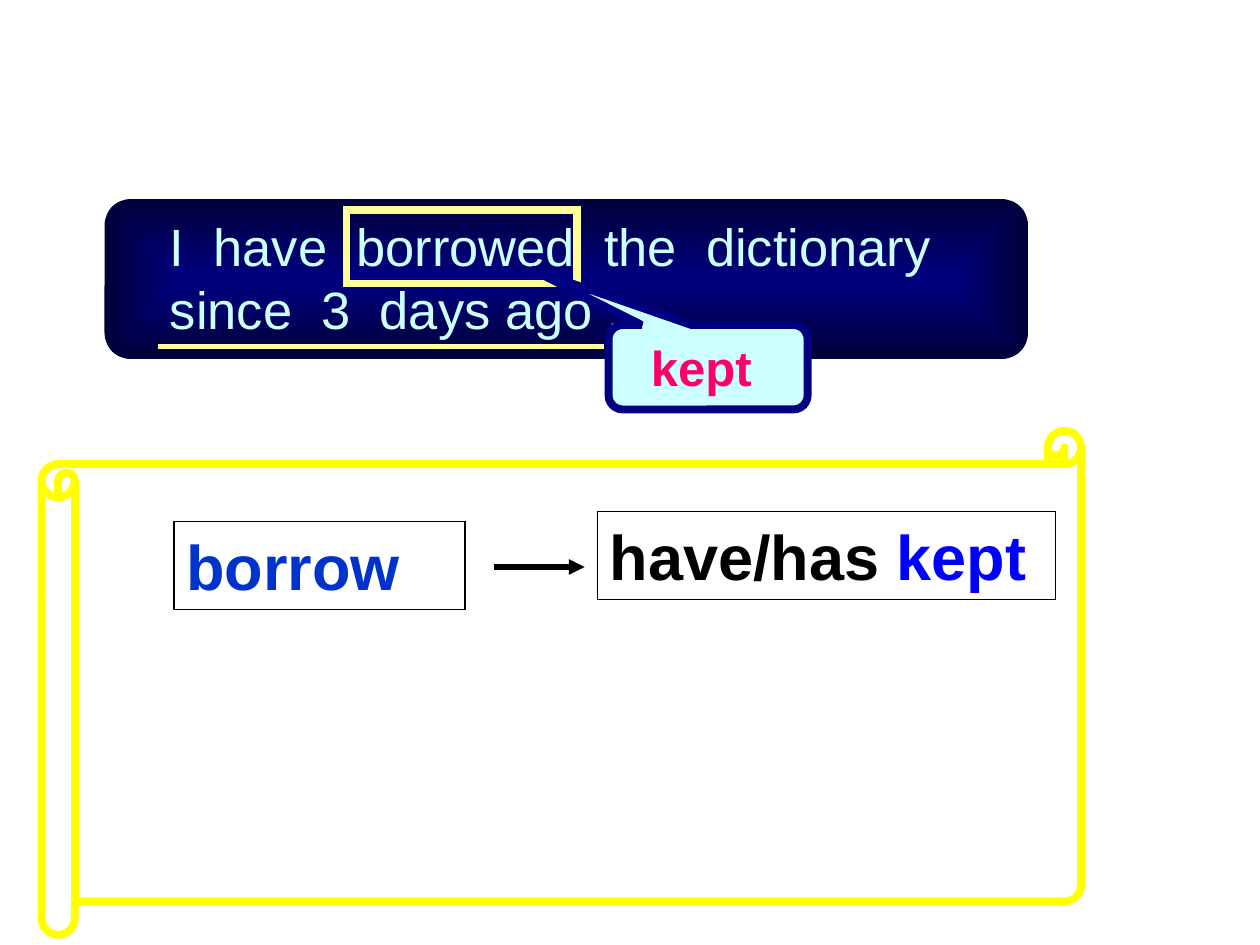
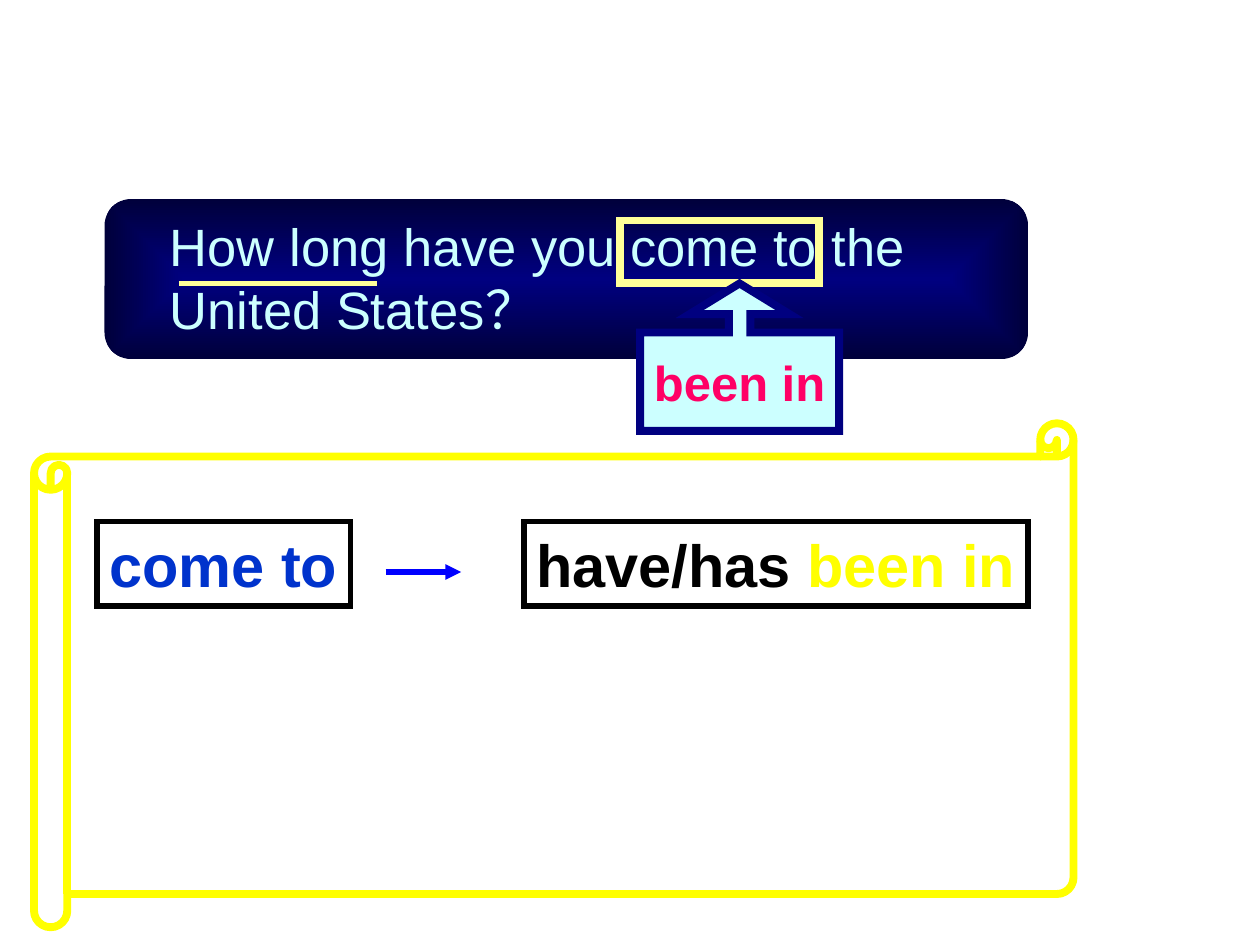
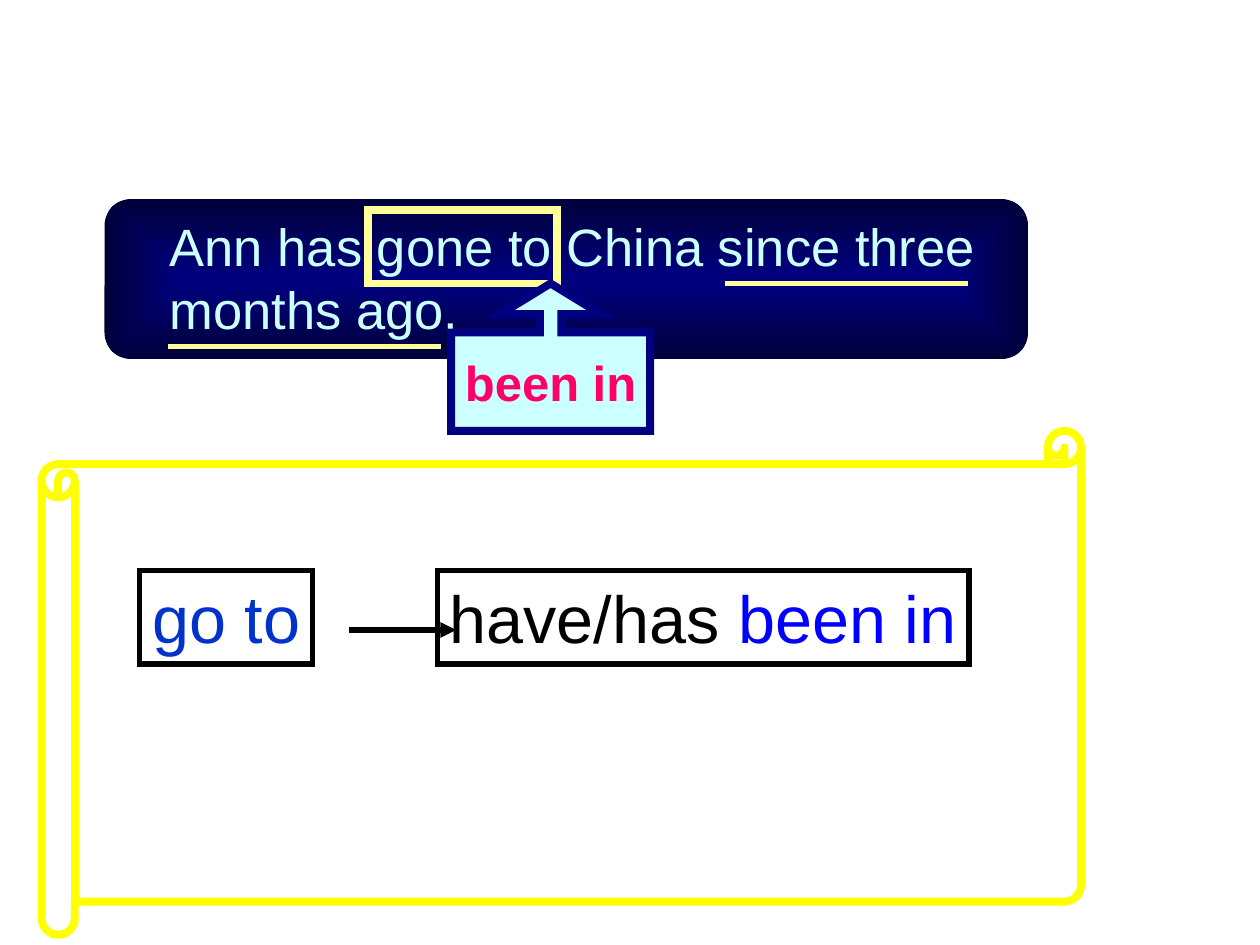
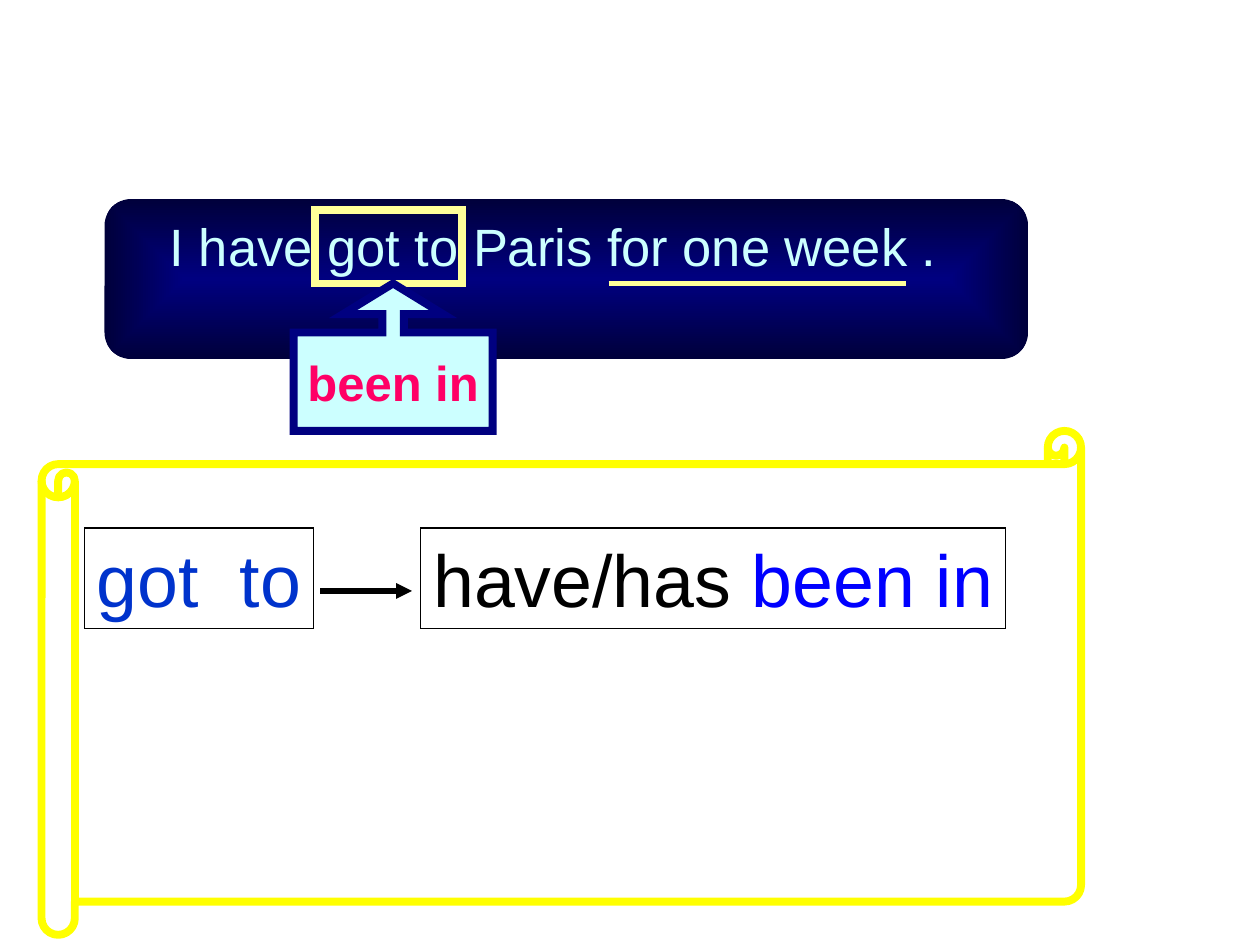
from pptx import Presentation
from pptx.dml.color import RGBColor
from pptx.enum.shapes import MSO_CONNECTOR, MSO_SHAPE
from pptx.enum.text import MSO_ANCHOR, MSO_AUTO_SIZE, PP_ALIGN
from pptx.oxml.ns import qn
from pptx.util import Inches, Pt
from lxml.etree import SubElement

FONT = "Arial"
NAVY = RGBColor(0x00, 0x00, 0x80)
MIDNIGHT = RGBColor(0x00, 0x00, 0x3B)
ICE = RGBColor(0xCC, 0xFF, 0xFF)
CREAM = RGBColor(0xFF, 0xFF, 0x99)
PINK = RGBColor(0xFF, 0x00, 0x66)
VERB_BLUE = RGBColor(0x00, 0x33, 0xCC)
BLUE = RGBColor(0x00, 0x00, 0xFF)
YELLOW = RGBColor(0xFF, 0xFF, 0x00)
BLACK = RGBColor(0x00, 0x00, 0x00)


def add_box(page, kind, place, line=None, width=0, fill=None, adjust=(), mitred=True):
    """Add a preset shape without shadow, with optional fill and outline."""
    box = page.shapes.add_shape(kind, *map(Inches, place))
    box.shadow.inherit = False
    for index, value in enumerate(adjust):
        box.adjustments[index] = value
    if fill is None:
        box.fill.background()
    else:
        box.fill.solid()
        box.fill.fore_color.rgb = fill
    if line is None:
        box.line.fill.background()
    else:
        box.line.color.rgb = line
        box.line.width = Pt(width)
        if mitred:
            SubElement(box.line._get_or_add_ln(), qn("a:miter"), lim="800000")
    return box


def write(box, spans, size, bold=False, align=PP_ALIGN.LEFT,
          anchor=MSO_ANCHOR.TOP, wrap=False, grow=False):
    """Write one paragraph made of (text, colour) spans."""
    frame = box.text_frame
    frame.word_wrap = wrap
    frame.vertical_anchor = anchor
    frame.auto_size = MSO_AUTO_SIZE.SHAPE_TO_FIT_TEXT if grow else MSO_AUTO_SIZE.NONE
    para = frame.paragraphs[0]
    para.alignment = align
    para.font.name, para.font.size, para.font.bold = FONT, Pt(size), bold
    for text, colour in spans:
        span = para.add_run()
        span.text = text
        span.font.color.rgb = colour


def add_line(page, left, right, top, colour, arrow=False):
    """Add a level line, with an arrowhead at its right end if wanted."""
    line = page.shapes.add_connector(
        MSO_CONNECTOR.STRAIGHT, Inches(left), Inches(top), Inches(right), Inches(top))
    line.line.color.rgb = colour
    line.line.width = Pt(3)
    if arrow:
        SubElement(line.line._get_or_add_ln(), qn("a:tailEnd"), type="triangle")
    SubElement(line.element.spPr, qn("a:effectLst"))


def add_sentence(page, sentence, height=1.1):
    """Add the navy panel, shaded from its centre, and its sentence."""
    panel = add_box(page, MSO_SHAPE.ROUNDED_RECTANGLE, (0.83, 1.58, 7.33, 1.27))
    panel.fill.gradient()
    for stop, colour in zip(panel.fill.gradient_stops, (NAVY, MIDNIGHT)):
        stop.color.rgb = colour
    gradient = panel.element.spPr.find(qn("a:gradFill"))
    gradient.remove(gradient.find(qn("a:lin")))
    shade = SubElement(gradient, qn("a:path"), path="rect")
    SubElement(shade, qn("a:fillToRect"), l="50000", t="50000", r="50000", b="50000")
    box = page.shapes.add_textbox(*map(Inches, (1.25, 1.65, 6.83, height)))
    write(box, [(sentence, ICE)], 30, wrap=True, grow=True)


def add_highlight(page, left, width, top=1.67):
    """Frame the wrong verb in the sentence."""
    add_box(page, MSO_SHAPE.RECTANGLE, (left, top, width, 2.25 - top), CREAM, 4.5)


def add_balloon(page, text):
    """Add the rounded balloon that points up and left at the verb."""
    balloon = add_box(page, MSO_SHAPE.ROUNDED_RECTANGULAR_CALLOUT, (4.83, 2.58, 1.58, 0.67),
                      NAVY, 4.5, ICE, (-0.888, -1.159, 0.167))
    write(balloon, [(text, PINK)], 28, True, PP_ALIGN.CENTER, MSO_ANCHOR.MIDDLE, wrap=True)


def add_correction(page, left):
    """Add the arrow callout with the correct verb."""
    callout = add_box(page, MSO_SHAPE.UP_ARROW_CALLOUT, (left, 2.25, 1.58, 1.17),
                      NAVY, 4.5, ICE, (0.146, 0.339, 0.208, 0.667))
    write(callout, [("been in", PINK)], 28, True, PP_ALIGN.CENTER, MSO_ANCHOR.MIDDLE)


def add_rule(page, verb, answer, verb_place, answer_place, arrow, size,
             border, bold=False, answer_colour=BLUE, arrow_colour=BLACK):
    """Add the boxed verb, an arrow and the boxed perfect form, each on one line."""
    entries = ((verb_place, [(verb, VERB_BLUE)]),
               (answer_place, [("have/has ", BLACK), (answer, answer_colour)]))
    for place, spans in entries:
        box = add_box(page, MSO_SHAPE.RECTANGLE, place, BLACK, border)
        box.text_frame.margin_right = Inches(0.02)
        write(box, spans, size, bold, grow=True)
    add_line(page, *arrow, arrow_colour, arrow=True)


def add_scroll(page, left=0.33, top=3.42):
    """Add the yellow scroll around the rule."""
    add_box(page, MSO_SHAPE.HORIZONTAL_SCROLL, (left, top, 8.25, 4),
            YELLOW, 4.5, adjust=(0.066,), mitred=False)


def build_borrow(page):
    """Build the slide on borrow and keep."""
    add_sentence(page, "I  have  borrowed  the  dictionary since  3  days ago .")
    add_highlight(page, 2.75, 1.83)
    add_line(page, 1.25, 4.79, 2.75, CREAM)
    add_balloon(page, "kept ")
    add_rule(page, "borrow", "kept", (1.38, 4.14, 2.31, 0.7), (4.74, 4.06, 3.64, 0.7),
             (3.92, 4.64, 4.5), 36, 0.75, bold=True)
    add_scroll(page)


def build_come(page):
    """Build the slide on come to and be in."""
    add_sentence(page, "How long have you come to the United States？")
    add_line(page, 1.42, 2.99, 2.25, CREAM)
    add_highlight(page, 4.92, 1.58, 1.75)
    add_correction(page, 5.08)
    add_rule(page, "come to", "been in", (0.77, 4.14, 2.01, 0.67), (4.16, 4.14, 4, 0.67),
             (3.06, 3.66, 4.54), 34, 3, bold=True, answer_colour=YELLOW, arrow_colour=BLUE)
    add_scroll(page, 0.27, 3.36)


def build_go(page):
    """Build the slide on go to and be in."""
    add_sentence(page, "Ann has gone to China since three months ago.")
    add_line(page, 5.75, 7.68, 2.25, CREAM)
    add_highlight(page, 2.92, 1.5)
    add_correction(page, 3.58)
    add_line(page, 1.33, 3.5, 2.75, CREAM)
    add_rule(page, "go to", "been in", (1.11, 4.53, 1.37, 0.74), (3.47, 4.53, 4.22, 0.74),
             (2.77, 3.62, 5), 38, 3)
    add_scroll(page)


def build_get(page):
    """Build the slide on get to and be in."""
    add_sentence(page, "I have got to Paris for one week .", 0.6)
    add_highlight(page, 2.5, 1.17)
    add_correction(page, 2.33)
    add_line(page, 4.83, 7.19, 2.25, CREAM)
    add_rule(page, "got  to", "been in", (0.67, 4.19, 1.82, 0.8), (3.34, 4.19, 4.64, 0.8),
             (2.54, 3.27, 4.69), 42, 0.75)
    add_scroll(page)


def main():
    """Build the deck and save it."""
    deck = Presentation()
    deck.slide_width, deck.slide_height = Inches(10), Inches(7.5)
    for build in (build_borrow, build_come, build_go, build_get):
        build(deck.slides.add_slide(deck.slide_layouts[6]))
    deck.save("out.pptx")


if __name__ == "__main__":
    main()
